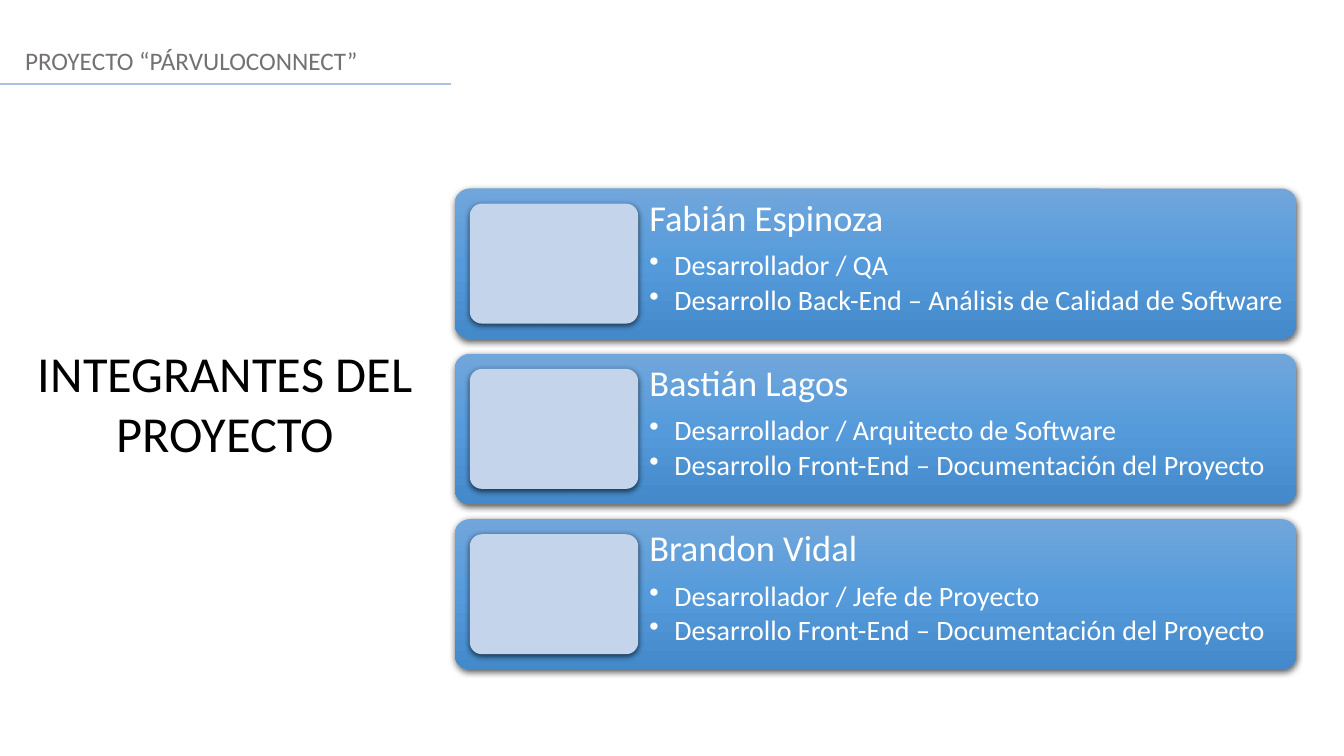
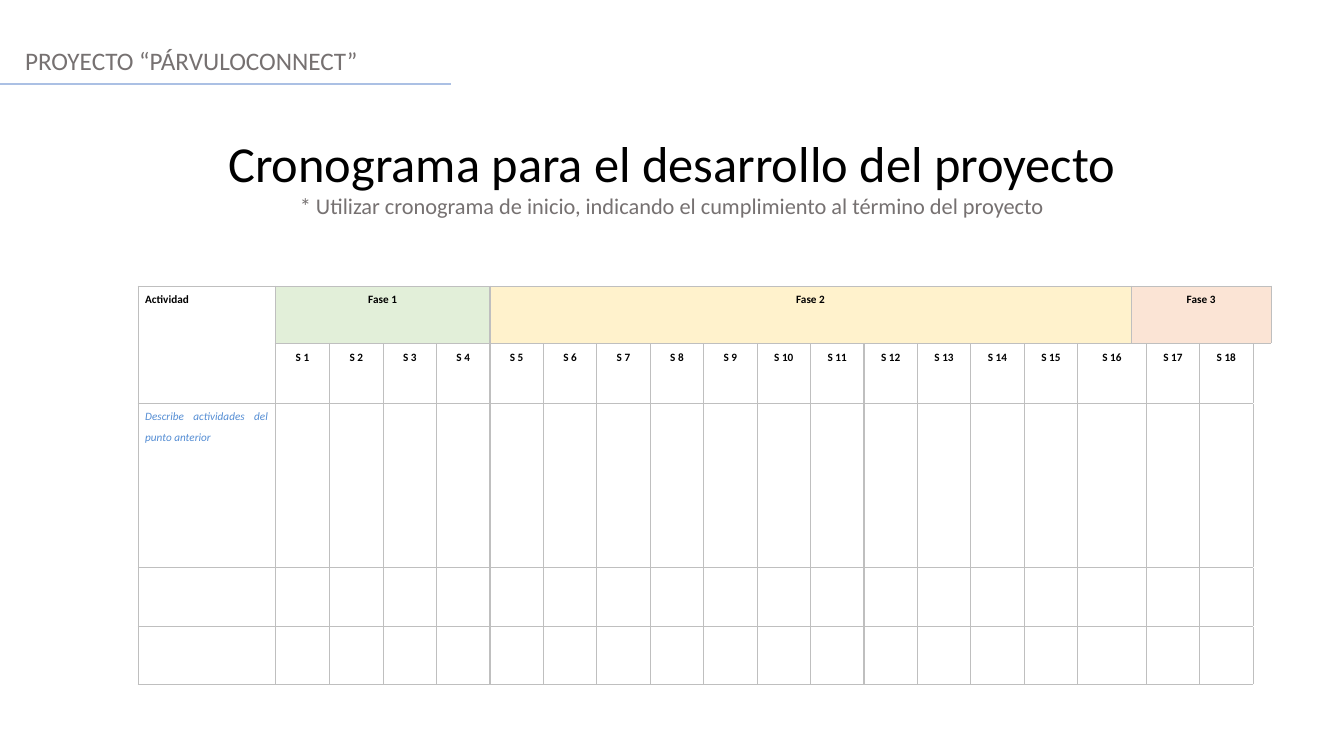
from copy import deepcopy
from dataclasses import dataclass

from pptx import Presentation
from pptx.dml.color import RGBColor
from pptx.enum.shapes import MSO_CONNECTOR, MSO_SHAPE
from pptx.enum.text import PP_ALIGN
from pptx.oxml import parse_xml
from pptx.oxml.ns import nsdecls, qn
from pptx.oxml.xmlchemy import OxmlElement
from pptx.util import Inches, Pt


@dataclass(frozen=True)
class Theme:
    font: str = "Calibri"
    black: str = "000000"
    white: str = "FFFFFF"
    gray: str = "767171"
    rule: str = "ABC0E4"
    photo: str = "C4D5EB"
    border: str = "BFBFBF"
    hint: str = "548DD4"
    card_gradient: tuple = ((0, "71A6DB"), (0.5, "559BDB"), (1, "448ACA"))
    title_size: int = 36
    name_size: int = 26
    role_size: int = 20
    header_size: int = 18
    subtitle_size: int = 16
    table_size: int = 8


THEME = Theme()

MEMBERS = (
    ("Fabián Espinoza", "Desarrollador / QA",
     "Desarrollo Back-End – Análisis de Calidad de Software"),
    ("Bastián Lagos", "Desarrollador / Arquitecto de Software",
     "Desarrollo Front-End – Documentación del Proyecto"),
    ("Brandon Vidal", "Desarrollador / Jefe de Proyecto",
     "Desarrollo Front-End – Documentación del Proyecto"),
)

# Phase name, first column, last column, fill
PHASES = (
    ("Fase 1", 1, 4, "E2EFD9"),
    ("Fase 2", 5, 16, "FFF2CC"),
    ("Fase 3", 17, 20, "FBE4D5"),
)
COLUMN_WIDTHS = [1.36, 0.54] + [0.53] * 15 + [0.15, 0.53, 0.53, 0.15]
ROW_HEIGHTS = [0.57, 0.59, 1.63, 0.59, 0.57]
WEEK_COLUMNS = [*range(1, 17), 18, 19]
WIDE_WEEK = 16


def rgb(color):
    return RGBColor.from_string(color)


def format_paragraph(paragraph, size, color, align=PP_ALIGN.LEFT,
                     bold=False, italic=False):
    paragraph.alignment = align
    for run in paragraph.runs:
        font = run.font
        font.name, font.size = THEME.font, Pt(size)
        font.bold, font.italic = bold, italic
        font.color.rgb = rgb(color)


def add_text(slide, left, top, width, height, lines, align=PP_ALIGN.LEFT):
    """Add a wrapped text box; lines holds (text, size, color) tuples."""
    box = slide.shapes.add_textbox(
        Inches(left), Inches(top), Inches(width), Inches(height))
    frame = box.text_frame
    frame.word_wrap = True
    frame.text = "\n".join(text for text, _, _ in lines)
    for paragraph, (_, size, color) in zip(frame.paragraphs, lines):
        format_paragraph(paragraph, size, color, align)
    return frame


def add_header(slide):
    add_text(slide, 0.15, 0.4, 13.33, 0.4,
             [("PROYECTO “PÁRVULOCONNECT”", THEME.header_size, THEME.gray)])
    rule = slide.shapes.add_connector(
        MSO_CONNECTOR.STRAIGHT, 0, Inches(0.83), Inches(4.47), Inches(0.83))
    rule.line.color.rgb = rgb(THEME.rule)
    rule.line.width = Pt(1.25)
    rule._element.spPr.append(OxmlElement("a:effectLst"))


def add_rounded_box(slide, left, top, width, height):
    """Add an unfilled rounded box with a soft shadow below it."""
    shape = slide.shapes.add_shape(
        MSO_SHAPE.ROUNDED_RECTANGLE,
        Inches(left), Inches(top), Inches(width), Inches(height))
    shape.adjustments[0] = 0.1
    shape.line.fill.background()
    shape.shadow.inherit = False
    shape._element.spPr.find(qn("a:effectLst")).append(parse_xml(
        f'<a:outerShdw {nsdecls("a")} blurRad="{Pt(4.5)}" dist="{Pt(1.5)}" '
        'dir="5400000" algn="ctr" rotWithShape="0">'
        f'<a:srgbClr val="{THEME.black}"><a:alpha val="63000"/></a:srgbClr>'
        '</a:outerShdw>'))
    return shape


def fill_gradient(shape, stops):
    """Fill from top to bottom with three (position, color) stops."""
    fill = shape.fill
    fill.gradient()
    fill.gradient_angle = 270
    stop_list = shape._element.spPr.find(".//" + qn("a:gsLst"))
    stop_list.append(deepcopy(stop_list[0]))
    for stop, (position, color) in zip(fill.gradient_stops, stops):
        stop.position = position
        stop.color.rgb = rgb(color)


def add_bullet(paragraph):
    properties = paragraph._p.get_or_add_pPr()
    properties.set("marL", str(Inches(0.25)))
    properties.set("indent", str(-Inches(0.25)))
    bullet = OxmlElement("a:buChar")
    bullet.set("char", "•")
    properties.append(bullet)


def add_member_card(slide, top, name, *roles):
    left, width, height, margin = 4.51, 8.35, 1.49, 0.15
    photo_width = 1.67
    card = add_rounded_box(slide, left, top, width, height)
    fill_gradient(card, THEME.card_gradient)

    text_left = left + margin + photo_width
    lines = [(name, THEME.name_size, THEME.white)]
    lines += [(role, THEME.role_size, THEME.white) for role in roles]
    frame = add_text(slide, text_left, top, left + width - text_left, height, lines)
    frame.margin_left = frame.margin_right = Inches(0.11)
    frame.margin_top = frame.margin_bottom = Inches(0.11)
    for index, paragraph in enumerate(frame.paragraphs):
        paragraph.line_spacing = 0.9
        paragraph.space_after = Pt(3 if index else 9)
        if index:
            add_bullet(paragraph)

    photo = add_rounded_box(slide, left + margin, top + margin,
                            photo_width, height - 2 * margin)
    photo.fill.solid()
    photo.fill.fore_color.rgb = rgb(THEME.photo)


def set_borders(cell, sides):
    """Draw the given sides, a string in the order L, R, T, B."""
    properties = cell._tc.get_or_add_tcPr()
    for side in sides:
        properties.append(parse_xml(
            f'<a:ln{side} {nsdecls("a")} w="{Pt(1)}"><a:solidFill>'
            f'<a:srgbClr val="{THEME.border}"/></a:solidFill></a:ln{side}>'))


def set_cell_text(cell, text, align=PP_ALIGN.CENTER, color=THEME.black,
                  bold=True, italic=False):
    cell.text_frame.text = text
    paragraph = cell.text_frame.paragraphs[0]
    format_paragraph(paragraph, THEME.table_size, color, align, bold, italic)
    paragraph.line_spacing = 1.5
    paragraph.space_after = Pt(8)


def style_grid(table):
    """Set sizes, margins and borders; the last column is open below row 0."""
    table.first_row = table.horz_banding = False
    for column, width in zip(table.columns, COLUMN_WIDTHS):
        column.width = Inches(width)
    last_column = len(COLUMN_WIDTHS) - 1
    for row_index, height in enumerate(ROW_HEIGHTS):
        table.rows[row_index].height = Inches(height)
        for column_index in range(len(COLUMN_WIDTHS)):
            cell = table.cell(row_index, column_index)
            cell.margin_left = cell.margin_right = Inches(0.07)
            cell.margin_top = cell.margin_bottom = 0
            if row_index and column_index == last_column:
                set_borders(cell, "LT" if row_index == 1 else "L")
            else:
                set_borders(cell, "LRTB")
            cell.fill.background()


def add_schedule(slide):
    table = slide.shapes.add_table(
        len(ROW_HEIGHTS), len(COLUMN_WIDTHS), Inches(1.37), Inches(2.84),
        Inches(sum(COLUMN_WIDTHS)), Inches(sum(ROW_HEIGHTS))).table
    style_grid(table)

    table.cell(0, 0).merge(table.cell(1, 0))
    set_cell_text(table.cell(0, 0), "Actividad", PP_ALIGN.JUSTIFY)
    for phase, first, last, color in PHASES:
        cell = table.cell(0, first)
        cell.merge(table.cell(0, last))
        set_cell_text(cell, phase)
        cell.fill.solid()
        cell.fill.fore_color.rgb = rgb(color)
    for row_index in range(1, len(ROW_HEIGHTS)):
        table.cell(row_index, WIDE_WEEK).merge(table.cell(row_index, WIDE_WEEK + 1))
    for week, column_index in enumerate(WEEK_COLUMNS, start=1):
        set_cell_text(table.cell(1, column_index), f"S {week}")
    set_cell_text(table.cell(2, 0), "Describe actividades del punto anterior",
                  PP_ALIGN.JUSTIFY, THEME.hint, bold=False, italic=True)


def build_team_slide(slide):
    for index, member in enumerate(MEMBERS):
        add_member_card(slide, 1.87 + 1.64 * index, *member)
    add_text(slide, 0.26, 3.34, 3.95, 1.31,
             [("INTEGRANTES DEL PROYECTO", THEME.title_size, THEME.black)],
             PP_ALIGN.CENTER)


def build_schedule_slide(slide):
    add_text(slide, 0, 1.26, 13.33, 0.98, [
        ("Cronograma para el desarrollo del proyecto",
         THEME.title_size, THEME.black),
        ("* Utilizar cronograma de inicio, indicando el cumplimiento "
         "al término del proyecto", THEME.subtitle_size, THEME.gray),
    ], PP_ALIGN.CENTER)
    add_schedule(slide)


def main():
    presentation = Presentation()
    presentation.slide_width = Inches(13.33)
    presentation.slide_height = Inches(7.5)
    for build in (build_team_slide, build_schedule_slide):
        slide = presentation.slides.add_slide(presentation.slide_layouts[6])
        add_header(slide)
        build(slide)
    presentation.save("out.pptx")


if __name__ == "__main__":
    main()
